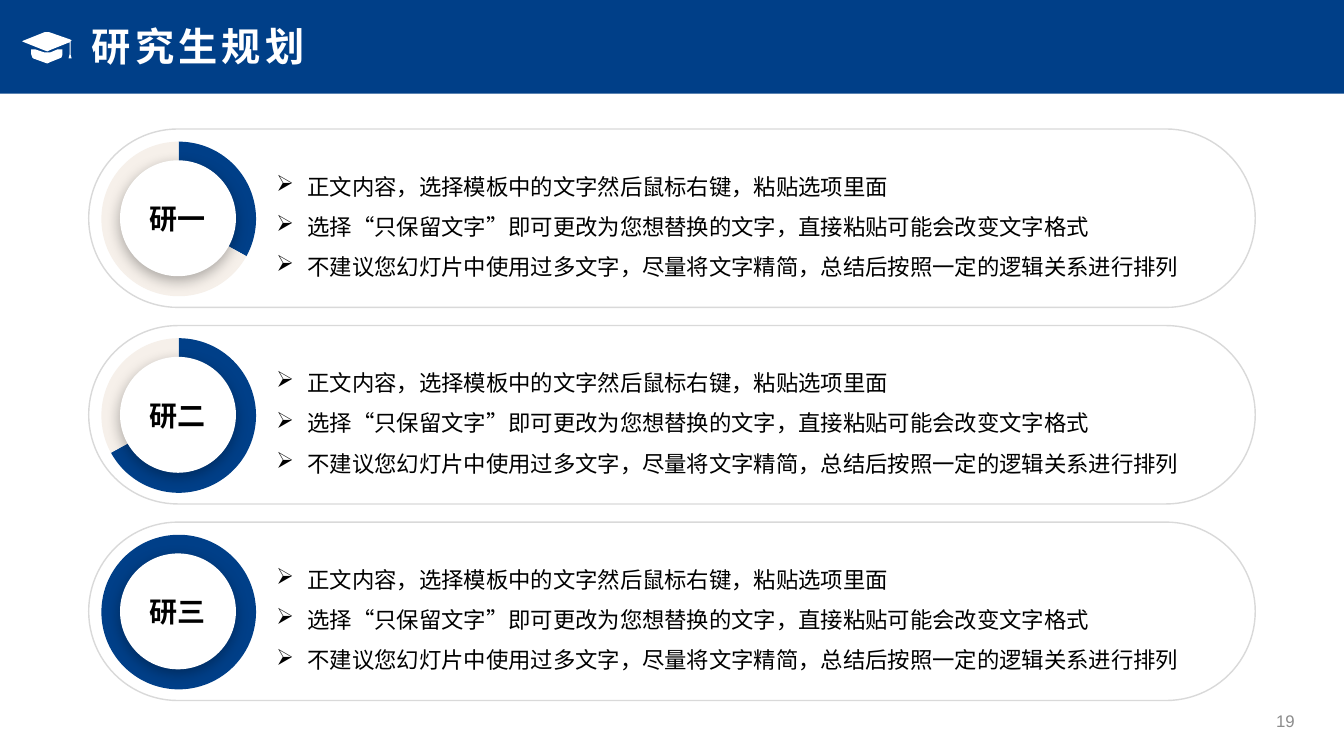
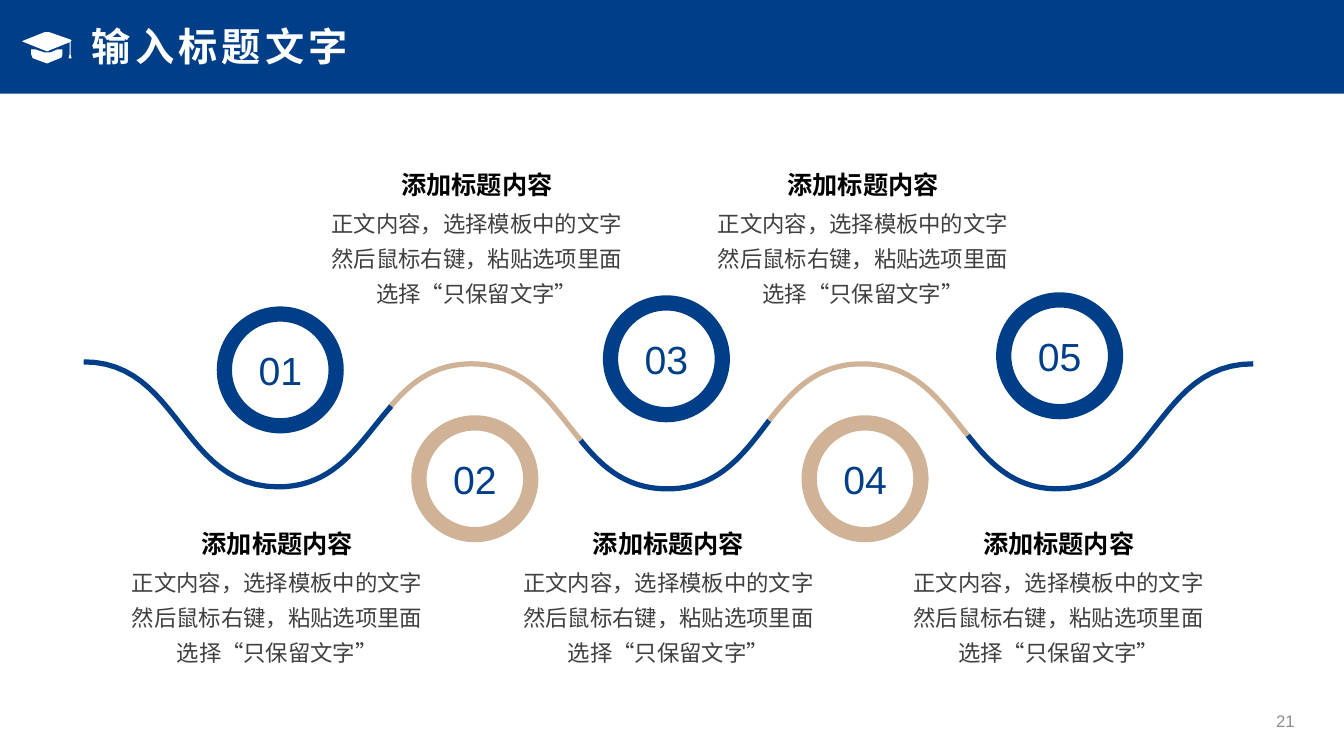
"""Build two slides: a three-year study plan and a five-step wave."""
from lxml.etree import SubElement
from pptx import Presentation
from pptx.chart.data import CategoryChartData
from pptx.dml.color import RGBColor
from pptx.enum.chart import XL_CHART_TYPE as Chart
from pptx.enum.shapes import MSO_SHAPE as Shape
from pptx.enum.text import MSO_ANCHOR as Anchor, PP_ALIGN as Align
from pptx.oxml.ns import qn
from pptx.util import Inches, Pt

WIDTH, HEIGHT = 13.33, 7.5
BLUE, TAN, WHITE, BLACK = "003F88", "D0B296", "FFFFFF", "000000"
CREAM, SILVER, GREY, DARK = "F6F0EA", "D9D9D9", "8C8C8C", "404040"
SANS, HAN = "Arial", "Noto Sans CJK SC"

STYLES = {
    "title": {"color": WHITE, "align": Align.LEFT, "anchor": Anchor.MIDDLE, "spacing": 0.9,
              "inset": (0.08, 0.04), "track": 300,
              "font": {"name": SANS, "size": Pt(28), "bold": True}},
    "footer": {"color": GREY, "align": Align.RIGHT, "anchor": Anchor.MIDDLE,
               "font": {"name": SANS, "size": Pt(12)}},
    "year": {"color": BLACK, "align": Align.CENTER, "anchor": Anchor.MIDDLE,
             "font": {"name": SANS, "size": Pt(20), "bold": True}},
    "list": {"color": BLACK, "align": Align.LEFT, "spacing": 1.5, "inset": (0, 0),
             "bullet": "Ø", "font": {"name": HAN, "size": Pt(16)}},
    "number": {"color": BLUE, "align": Align.CENTER, "font": {"name": SANS, "size": Pt(28)}},
    "heading": {"color": BLACK, "align": Align.CENTER,
                "font": {"name": SANS, "size": Pt(18), "bold": True}},
    "body": {"color": DARK, "align": Align.CENTER, "spacing": 1.3,
             "font": {"name": HAN, "size": Pt(16)}},
}


def paint(shape, fill=None, line=None, weight=1):
    """Give a shape a flat fill and line, without a shadow."""
    shape.shadow.inherit = False
    if fill:
        shape.fill.solid()
        shape.fill.fore_color.rgb = RGBColor.from_string(fill)
    else:
        shape.fill.background()
    if line:
        shape.line.color.rgb = RGBColor.from_string(line)
        shape.line.width = Pt(weight)
    else:
        shape.line.fill.background()
    return shape


def write(box, style, *lines):
    """Fill a box with one paragraph per line in a named style."""
    look = STYLES[style]
    across, down = look.get("inset", (0.1, 0.05))
    frame = box.text_frame
    settings = {"word_wrap": True, "vertical_anchor": look.get("anchor", Anchor.TOP),
                "margin_left": Inches(across), "margin_right": Inches(across),
                "margin_top": Inches(down), "margin_bottom": Inches(down)}
    for name, value in settings.items():
        setattr(frame, name, value)
    for index, line in enumerate(lines):
        para = frame.add_paragraph() if index else frame.paragraphs[0]
        if "bullet" in look:
            props = para._p.get_or_add_pPr()
            props.set("marL", str(Inches(0.31)))
            props.set("indent", str(-Inches(0.31)))
            SubElement(props, qn("a:buFont"), typeface="Wingdings", charset="2")
            SubElement(props, qn("a:buChar"), char=look["bullet"])
        para.alignment = look["align"]
        para.line_spacing = look.get("spacing", 1.0)
        span = para.add_run()
        span.text = line
        for name, value in look["font"].items():
            setattr(span.font, name, value)
        span.font.color.rgb = RGBColor.from_string(look["color"])
        props = span._r.get_or_add_rPr()
        props.set("lang", "zh-CN")
        props.set("spc", str(look.get("track", 0)))
        SubElement(props, qn("a:ea")).set("typeface", HAN)


deck = Presentation()
deck.slide_width, deck.slide_height = Inches(WIDTH), Inches(HEIGHT)

CAP_BASE = [(0.31, 0.49), (0.35, 0.49), (0.44, 0.52), (0.47, 0.52), (0.5, 0.52), (0.57, 0.49),
            (0.62, 0.49), (0.62, 0.54), (0.61, 0.57), (0.59, 0.58), (0.49, 0.62),
            (0.47, 0.63), (0.44, 0.62), (0.33, 0.58), (0.32, 0.57), (0.31, 0.54)]
CAP_TOP = [(0.44, 0.32), (0.47, 0.32), (0.49, 0.32), (0.69, 0.39), (0.71, 0.4), (0.7, 0.41),
           (0.7, 0.54), (0.71, 0.58), (0.68, 0.58), (0.69, 0.54), (0.69, 0.42), (0.49, 0.5),
           (0.47, 0.51), (0.44, 0.5), (0.24, 0.42), (0.22, 0.41), (0.24, 0.4)]

pages = []
for title, number in [("研究生规划", "19"), ("输入标题文字", "21")]:
    page = deck.slides.add_slide(deck.slide_layouts[6])
    pages.append(page)
    paint(page.shapes.add_shape(Shape.RECTANGLE, 0, 0, Inches(WIDTH), Inches(0.93)), BLUE)
    for outline in (CAP_BASE, CAP_TOP):
        points = [(Inches(x), Inches(y)) for x, y in outline]
        pen = page.shapes.build_freeform(*points[0])
        pen.add_line_segments(points[1:], close=True)
        paint(pen.convert_to_shape(), WHITE)
    for style, text, at in [("title", title, (0.83, 0.23, 7.03, 0.5)),
                            ("footer", number, (9.94, 6.95, 3, 0.4))]:
        write(page.shapes.add_textbox(*map(Inches, at)), style, text)
plan, wave = pages

ROW_TOP, ROW_STEP = 1.28, 1.95
ADVICE = ("正文内容，选择模板中的文字然后鼠标右键，粘贴选项里面",
          "选择“只保留文字”即可更改为您想替换的文字，直接粘贴可能会改变文字格式",
          "不建议您幻灯片中使用过多文字，尽量将文字精简，总结后按照一定的逻辑关系进行排列")
PLOT = {"layoutTarget": "inner", "xMode": "edge", "yMode": "edge",
        "x": 0.01, "y": 0.01, "w": 0.99, "h": 0.99}

for row, (year, done) in enumerate([("研一", 33), ("研二", 67), ("研三", 100)]):
    top = ROW_TOP + row * ROW_STEP
    pill = plan.shapes.add_shape(Shape.ROUNDED_RECTANGLE, Inches(0.88), Inches(top),
                                 Inches(11.57), Inches(1.77))
    pill.adjustments[0] = 0.5
    paint(pill, line=SILVER)

    data = CategoryChartData()
    data.categories = ["1", "2"]
    data.add_series("Series 1", (done, 100 - done))
    chart = plan.shapes.add_chart(Chart.PIE, Inches(0.99), Inches(top + 0.11),
                                  Inches(1.55), Inches(1.55), data).chart
    chart.has_title = chart.has_legend = False
    chart.font.name, chart.font.size = SANS, Pt(10)
    chart.font.color.rgb = RGBColor.from_string(BLACK)
    chart.plots[0].vary_by_categories = False
    for index, color in enumerate((BLUE, CREAM)):
        slice_format = chart.plots[0].series[0].points[index].format
        slice_format.fill.solid()
        slice_format.fill.fore_color.rgb = RGBColor.from_string(color)
        slice_format.line.fill.background()
    area = chart._chartSpace.find(".//" + qn("c:plotArea"))
    for old in area.findall(qn("c:layout")):
        area.remove(old)
    layout = SubElement(area, qn("c:layout"))
    area.insert(0, layout)
    manual = SubElement(layout, qn("c:manualLayout"))
    for name, value in PLOT.items():
        SubElement(manual, qn("c:" + name)).set("val", str(value))

    disc = paint(plan.shapes.add_shape(Shape.OVAL, Inches(1.19), Inches(top + 0.31),
                                       Inches(1.15), Inches(1.15)), WHITE)
    effects = disc._element.spPr.find(qn("a:effectLst"))
    shadow = SubElement(effects, qn("a:outerShdw"), blurRad=str(Pt(10)), dist=str(Pt(3)),
                        dir="5400000", algn="t", rotWithShape="0")
    tint = SubElement(shadow, qn("a:srgbClr"), val=BLACK)
    SubElement(tint, qn("a:alpha"), val="30000")
    write(disc, "year", year)
    write(plan.shapes.add_textbox(Inches(2.74), Inches(top + 0.3), Inches(9.18), Inches(1.16)),
          "list", *ADVICE)

STROKES = [
    (TAN, [(3.86, 4.05), (4.06, 3.81), (4.29, 3.61), (4.68, 3.61),
           (5.24, 3.61), (5.47, 4.02), (5.76, 4.37)]),
    (BLUE, [(5.76, 4.37), (5.97, 4.63), (6.21, 4.85), (6.62, 4.85),
            (7.13, 4.85), (7.38, 4.5), (7.63, 4.17)]),
    (TAN, [(7.63, 4.17), (7.86, 3.88), (8.1, 3.61), (8.55, 3.61),
           (9.09, 3.61), (9.33, 3.99), (9.6, 4.32)]),
    (BLUE, [(0.83, 3.59), (1.79, 3.59), (1.79, 4.83), (2.76, 4.83),
            (3.34, 4.83), (3.57, 4.38), (3.88, 4.03)]),
    (BLUE, [(9.6, 4.32), (9.82, 4.6), (10.06, 4.85), (10.49, 4.85),
            (11.46, 4.85), (11.46, 3.61), (12.43, 3.61)]),
]
STEPS = 24
for color, knots in STROKES:
    pen = wave.shapes.build_freeform(*map(Inches, knots[0]))
    for start in range(0, len(knots) - 1, 3):
        curve = []
        for step in range(1, STEPS + 1):
            t = step / STEPS
            weights = ((1 - t) ** 3, 3 * t * (1 - t) ** 2, 3 * t * t * (1 - t), t ** 3)
            curve.append([Inches(sum(w * knot[axis] for w, knot in
                                     zip(weights, knots[start:start + 4]))) for axis in (0, 1)])
        pen.add_line_segments(curve, close=False)
    paint(pen.convert_to_shape(), line=color, weight=3.75)

RINGS = [(2.15, 3.04), (4.08, 4.12), (5.98, 2.93), (7.95, 4.12), (9.88, 2.9)]
CAPTIONS = [(1.85, 5.19), (3.83, 1.63), (5.73, 5.19), (7.66, 1.63), (9.6, 5.19)]
for index, ((left, top), (text_left, text_top)) in enumerate(zip(RINGS, CAPTIONS)):
    ring = wave.shapes.add_shape(Shape.DONUT, Inches(left), Inches(top), Inches(1.26), Inches(1.26))
    ring.adjustments[0] = 0.12
    paint(ring, TAN if index % 2 else BLUE)
    for style, text, at in [
            ("number", f"{index + 1:02}", (left + 0.17, top + 0.35, 0.92, 0.57)),
            ("heading", "添加标题内容", (text_left, text_top, 1.8, 0.4)),
            ("body", "正文内容，选择模板中的文字然后鼠标右键，粘贴选项里面选择“只保留文字”",
             (text_left - 0.65, text_top + 0.33, 3.1, 1.12))]:
        write(wave.shapes.add_textbox(*map(Inches, at)), style, text)

deck.save("out.pptx")
